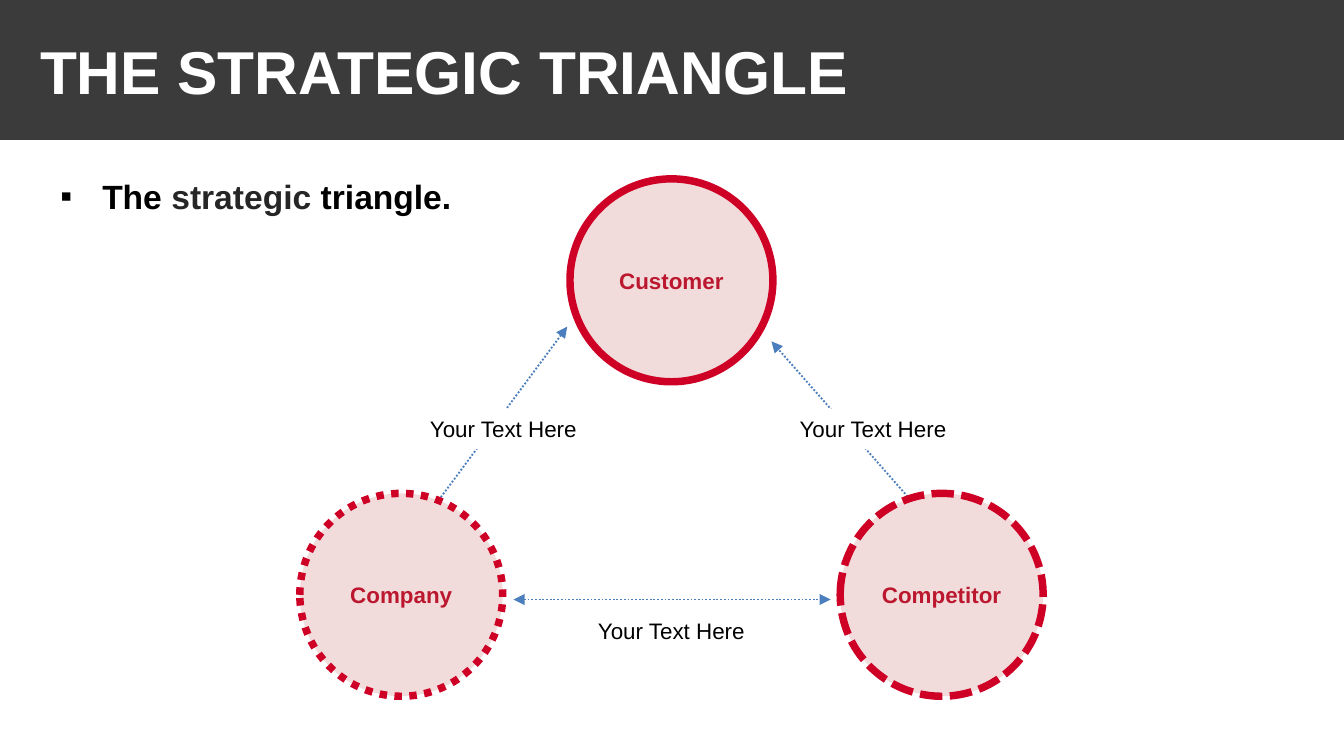
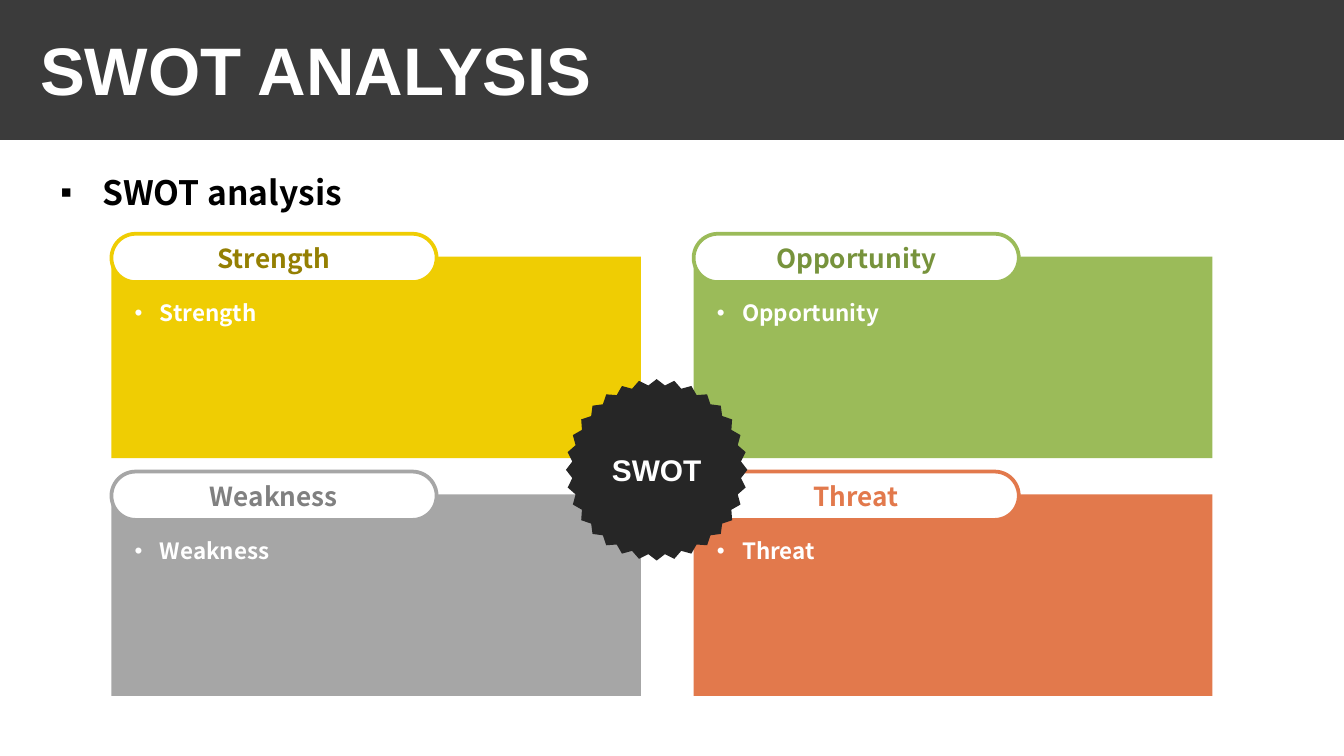
from lxml import etree
from pptx import Presentation
from pptx.dml.color import RGBColor
from pptx.enum.dml import MSO_LINE
from pptx.enum.shapes import MSO_CONNECTOR, MSO_SHAPE
from pptx.enum.text import MSO_ANCHOR, MSO_AUTO_SIZE, PP_ALIGN
from pptx.oxml.ns import qn
from pptx.util import Pt

RECT, PILL, CIRCLE = MSO_SHAPE.RECTANGLE, MSO_SHAPE.ROUNDED_RECTANGLE, MSO_SHAPE.OVAL
STAR = MSO_SHAPE.STAR_32_POINT
STRAIGHT = MSO_CONNECTOR.STRAIGHT
DOTTED, DASHED = MSO_LINE.ROUND_DOT, MSO_LINE.SQUARE_DOT
LEFT, CENTER = PP_ALIGN.LEFT, PP_ALIGN.CENTER
TOP, MIDDLE = MSO_ANCHOR.TOP, MSO_ANCHOR.MIDDLE
GROW = MSO_AUTO_SIZE.SHAPE_TO_FIT_TEXT

SANS, CJK = "Arial", "Noto Sans CJK KR"
WHITE, BLACK, CHARCOAL, BAND = "FFFFFF", "000000", "262626", "3B3B3B"
PINK, RED, DARK_RED, BLUE = "F2DCDB", "CE0025", "BB172F", "4B7EBC"
SLIDE_WIDTH, SLIDE_HEIGHT = 720, 405


def color(value):
    return RGBColor.from_string(value)


def points(*lengths):
    return [Pt(length) for length in lengths]


def write(holder, parts, size, font=SANS, bold=True, align=CENTER, anchor=MIDDLE,
          wrap=True, grow=False):
    """Fill the holder with one paragraph made of (text, colour) parts."""
    frame = holder.text_frame
    frame.word_wrap = wrap
    frame.vertical_anchor = anchor
    if grow:
        frame.auto_size = GROW
    paragraph = frame.paragraphs[0]
    paragraph.alignment = align
    for text, ink in parts:
        run = paragraph.add_run()
        run.text = text
        run.font.size, run.font.name, run.font.bold = Pt(size), font, bold
        run.font.color.rgb = color(ink)
    return paragraph


def add_bullet(paragraph, mark, indent, ink):
    properties = paragraph._p.get_or_add_pPr()
    properties.set("marL", str(Pt(indent)))
    properties.set("indent", str(-Pt(indent)))
    bullet_color = etree.SubElement(properties, qn("a:buClr"))
    etree.SubElement(bullet_color, qn("a:srgbClr"), val=ink)
    etree.SubElement(properties, qn("a:buFont"), typeface=SANS)
    etree.SubElement(properties, qn("a:buChar"), char=mark)


def add_box(slide, kind, box, fill, outline=None, weight=0, dash=None):
    shape = slide.shapes.add_shape(kind, *points(*box))
    shape.shadow.inherit = False
    shape.fill.solid()
    shape.fill.fore_color.rgb = color(fill)
    if outline is None:
        shape.line.fill.background()
    else:
        shape.line.color.rgb = color(outline)
        shape.line.width = Pt(weight)
        if dash is not None:
            shape.line.dash_style = dash
    return shape


def add_arrow(slide, start, end, both_ends=False):
    arrow = slide.shapes.add_connector(STRAIGHT, *points(*start, *end))
    arrow.line.color.rgb = color(BLUE)
    arrow.line.width = Pt(1)
    arrow.line.dash_style = DOTTED
    properties = arrow._element.spPr
    line = properties.find(qn("a:ln"))
    if both_ends:
        etree.SubElement(line, qn("a:headEnd"), type="triangle")
    etree.SubElement(line, qn("a:tailEnd"), type="triangle")
    etree.SubElement(properties, qn("a:effectLst"))


def add_header(slide, title, title_box, title_size, anchor):
    add_box(slide, RECT, (0, 0, SLIDE_WIDTH, 75), BAND)
    heading = slide.shapes.add_textbox(*points(*title_box))
    write(heading, [(title, WHITE)], title_size, align=LEFT, anchor=anchor)


def add_lead(slide, box, parts, font):
    lead = slide.shapes.add_textbox(*points(*box))
    paragraph = write(lead, parts, 18, font, align=LEFT, anchor=TOP, grow=True)
    add_bullet(paragraph, "▪", 22.5, BLACK)


def add_triangle(slide, box):
    left, top, width, height = box
    diameter = 108.7
    center = left + width / 2

    # Relations between the players, measured from the centre line
    for start, end, both_ends in (
        ((-84.6, 225.4), (85.3, 225.4), True),
        ((-123.5, 170.6), (-55.8, 79.2), False),
        ((135.7, 180.7), (53.6, 87.1), False),
    ):
        add_arrow(slide, (center + start[0], top + start[1]),
                  (center + end[0], top + end[1]), both_ends)

    # Relation labels; the upper two interrupt their arrows
    label_width, label_height = 147.6, 21.8
    for offset, drop, covers_arrow in ((-90, 123.1, True), (0, 231.1, False),
                                       (108, 123.1, True)):
        place = (center + offset - label_width / 2, top + drop, label_width, label_height)
        if covers_arrow:
            label = add_box(slide, RECT, place, WHITE)
        else:
            label = slide.shapes.add_textbox(*points(*place))
        write(label, [("Your Text Here", BLACK)], 12, bold=False, anchor=TOP, grow=True)

    # Players at the corners
    right, bottom = left + width - diameter, top + height - diameter
    for name, x, y, dash in (
        ("Customer", center - diameter / 2, top, None),
        ("Company", left, bottom, DOTTED),
        ("Competitor", right, bottom, DASHED),
    ):
        player = add_box(slide, CIRCLE, (x, y, diameter, diameter), PINK, RED, 4, dash)
        player.text_frame.margin_left = player.text_frame.margin_right = Pt(3)
        write(player, [(name, DARK_RED)], 12)


def add_quadrant(slide, box, name, fill, ink):
    left, top, width, height = box
    tab_rise = 12.25
    add_box(slide, RECT, box, fill)

    # Heading tab overlapping the upper edge
    tab = add_box(slide, PILL, (left, top - tab_rise, 174.2, 25.9), WHITE, fill, 2)
    tab.adjustments[0] = 0.5
    write(tab, [(name, ink)], 14, CJK, wrap=False)

    # Findings
    findings = slide.shapes.add_textbox(*points(left + 5.4, top + 12.25, 293, 38.9))
    paragraph = write(findings, [(name, WHITE)], 12, CJK, align=LEFT, anchor=TOP, grow=True)
    paragraph.line_spacing = 1.5
    add_bullet(paragraph, "•", 13.5, WHITE)


def add_swot(slide, box):
    left, top, width, height = box
    card_height = 108
    columns = ((left, 283.7), (left + width - 277.9, 277.9))
    rows = (top, top + height - card_height)
    for name, column, row, fill, ink in (
        ("Strength", 0, 0, "EFCD03", "947F02"),
        ("Opportunity", 1, 0, "9BBB59", "77933C"),
        ("Weakness", 0, 1, "A6A6A6", "808080"),
        ("Threat", 1, 1, "E2794C", "E2794C"),
    ):
        x, card_width = columns[column]
        add_quadrant(slide, (x, rows[row], card_width, card_height), name, fill, ink)

    # Central seal
    seal = add_box(slide, STAR, (left + 243.5, top + 65.6, 97.2, 97.2), CHARCOAL)
    seal.adjustments[0] = 0.467
    write(seal, [("SWOT", WHITE)], 16)


def build_triangle_slide(slide):
    add_header(slide, "THE STRATEGIC TRIANGLE", (14.4, 18.7, 532.8, 37.4), 32.4, MIDDLE)
    add_lead(slide, (25.2, 90.7, 669, 29),
             [("The ", BLACK), ("strategic", CHARCOAL), (" triangle.", BLACK)], SANS)
    add_triangle(slide, (160.6, 95.8, 398.2, 277.2))


def build_swot_slide(slide):
    add_header(slide, "SWOT ANALYSIS", (14.4, 11.5, 648, 38.2), 36, TOP)
    add_lead(slide, (25.2, 88.6, 669, 32.4), [("SWOT analysis", BLACK)], CJK)
    add_swot(slide, (59.7, 137.5, 589.8, 235.4))


def main():
    deck = Presentation()
    deck.slide_width, deck.slide_height = points(SLIDE_WIDTH, SLIDE_HEIGHT)
    blank = deck.slide_layouts[6]
    for build in (build_triangle_slide, build_swot_slide):
        build(deck.slides.add_slide(blank))
    deck.save("out.pptx")


if __name__ == "__main__":
    main()
